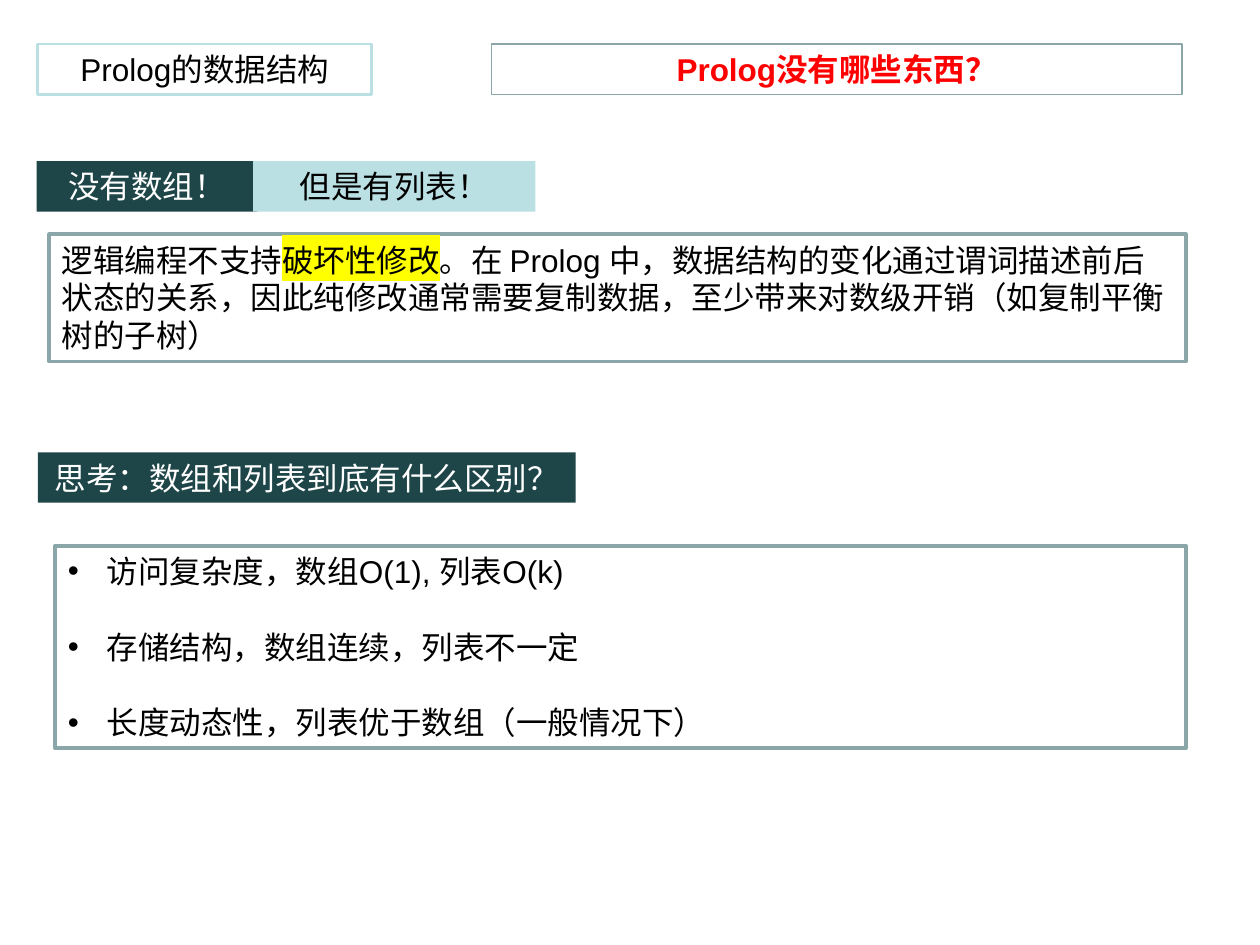
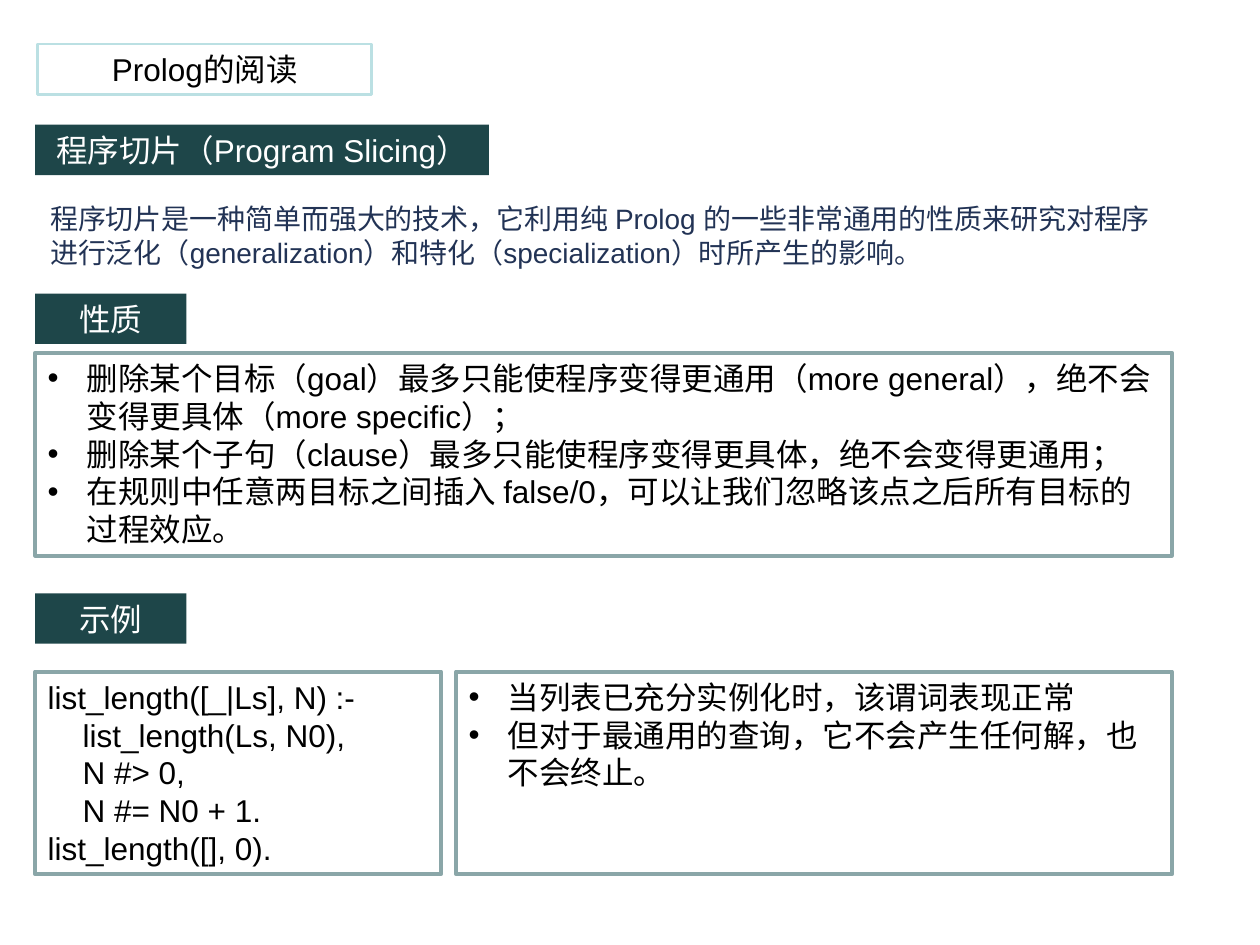
"""Build two slides on Prolog: its data structures and how to read its programs."""
import pptx
import pptx.dml.color
import pptx.enum.lang
import pptx.enum.shapes
import pptx.enum.text
import pptx.oxml.ns
import pptx.util
from lxml import etree

COLORS = {
    "dark": "1E4649", "pale": "BBE0E3", "edge": "8AA6A8", "marker": "FFFF00",
    "black": "000000", "white": "FFFFFF", "red": "FF0000", "navy": "223355",
}
STYLES = {
    "title": {"line": "pale", "weight": 1.5, "align": "CENTER"},
    "question": {"line": "edge", "weight": 1, "align": "CENTER", "color": "red", "bold": True},
    "band": {"fill": "dark", "align": "CENTER", "color": "white"},
    "pale band": {"fill": "pale", "align": "CENTER"},
    "frame": {"line": "edge", "weight": 2.25},
    "bullets": {"line": "edge", "weight": 2.25, "bullet": True},
    "spaced bullets": {"line": "edge", "weight": 2.25, "bullet": True, "gap": 21.7},
    "note": {"color": "navy", "size": 16},
}
FONT = "Arial"
INDENT = pptx.util.Inches(0.31)

deck = pptx.Presentation()
deck.slide_width = pptx.util.Inches(10)
deck.slide_height = pptx.util.Inches(7.5)
COLUMN = deck.slide_width / 100
ROW = deck.slide_height / 75
BAND = 4
LEFT = 2.8
WIDE = 90.2
TALL = 16.1
TITLE_PLACE = (3, 3.5, 26.5, BAND)


def rgb(name):
    return pptx.dml.color.RGBColor.from_string(COLORS[name])


def fill_box(box, style, place, paragraphs):
    """Place and style a box, then write its paragraphs, each a list of runs."""
    left, top, width, height = place
    box.left, box.width = round(left * COLUMN), round(width * COLUMN)
    box.top, box.height = round(top * ROW), round(height * ROW)
    if "fill" in style:
        box.fill.solid()
        box.fill.fore_color.rgb = rgb(style["fill"])
    else:
        box.fill.background()
    if "line" in style:
        box.line.color.rgb = rgb(style["line"])
        box.line.width = pptx.util.Pt(style["weight"])
    else:
        box.line.fill.background()
    frame = box.text_frame
    frame.word_wrap = True
    frame.auto_size = pptx.enum.text.MSO_AUTO_SIZE.NONE
    frame.vertical_anchor = pptx.enum.text.MSO_ANCHOR.TOP
    for index, runs in enumerate(paragraphs):
        para = frame.paragraphs[0] if index == 0 else frame.add_paragraph()
        para.alignment = pptx.enum.text.PP_ALIGN[style.get("align", "LEFT")]
        if index and "gap" in style:
            para.space_before = pptx.util.Pt(style["gap"])
        if style.get("bullet"):
            settings = para._p.get_or_add_pPr()
            settings.set("marL", str(INDENT))
            settings.set("indent", str(-INDENT))
            etree.SubElement(settings, pptx.oxml.ns.qn("a:buFont"), typeface=FONT)
            etree.SubElement(settings, pptx.oxml.ns.qn("a:buChar"), char="•")
        for text, *marker in runs:
            span = para.add_run()
            span.text = text
            span.font.name = FONT
            span.font.size = pptx.util.Pt(style.get("size", 18))
            span.font.bold = style.get("bold", False)
            span.font.color.rgb = rgb(style.get("color", "black"))
            span.font.language_id = pptx.enum.lang.MSO_LANGUAGE_ID.SIMPLIFIED_CHINESE
            if marker:
                highlight = etree.Element(pptx.oxml.ns.qn("a:highlight"))
                etree.SubElement(highlight, pptx.oxml.ns.qn("a:srgbClr"), val=COLORS[marker[0]])
                span._r.rPr.find(pptx.oxml.ns.qn("a:solidFill")).addnext(highlight)


SLIDES = [
    ("Prolog的数据结构", [
        ("question", (39, 3.5, 54.8, BAND), [[("Prolog没有哪些东西？",)]]),
        ("band", (2.9, 12.8, 17.5, BAND), [[("没有数组！",)]]),
        ("pale band", (20.1, 12.8, 22.4, BAND), [[("但是有列表！",)]]),
        ("frame", (3.9, 18.6, WIDE, 10.1), [[
            ("逻辑编程不支持",),
            ("破坏性修改", "marker"),
            ("。在 Prolog 中，数据结构的变化通过谓词描述前后状态的关系，"
             "因此纯修改通常需要复制数据，至少带来对数级开销（如复制平衡树的子树）",),
        ]]),
        ("band", (3, 35.9, 42.7, BAND), [[("思考：数组和列表到底有什么区别？",)]]),
        ("spaced bullets", (4.4, 43.3, 89.7, TALL), [
            [("访问复杂度，数组O(1), 列表O(k)",)],
            [("存储结构，数组连续，列表不一定",)],
            [("长度动态性，列表优于数组（一般情况下）",)],
        ]),
    ]),
    ("Prolog的阅读", [
        ("bullets", (LEFT, 28, WIDE, TALL), [
            [("删除某个目标（goal）最多只能使程序变得更通用（more general），"
              "绝不会变得更具体（more specific）；",)],
            [("删除某个子句（clause）最多只能使程序变得更具体，绝不会变得更通用；",)],
            [("在规则中任意两目标之间插入 false/0，可以让我们忽略该点之后所有目标的过程效应。",)],
        ]),
        ("band", (LEFT, 9.9, 36, BAND), [[("程序切片（Program Slicing）",)]]),
        ("note", (3, 15.5, WIDE, 6.4), [[
            ("程序切片是一种简单而强大的技术，它利用纯 Prolog 的一些非常通用的性质来研究"
             "对程序进行泛化（generalization）和特化（specialization）时所产生的影响。",),
        ]]),
        ("band", (LEFT, 23.3, 12, BAND), [[("性质",)]]),
        ("band", (LEFT, 47.1, 12, BAND), [[("示例",)]]),
        ("frame", (LEFT, 53.3, 32.2, TALL), [
            [("list_length([_|Ls], N) :-",)],
            [("    list_length(Ls, N0),",)],
            [("    N #> 0,",)],
            [("    N #= N0 + 1.",)],
            [("list_length([], 0).",)],
        ]),
        ("bullets", (36.2, 53.3, 56.8, TALL), [
            [("当列表已充分实例化时，该谓词表现正常",)],
            [("但对于最通用的查询，它不会产生任何解，也不会终止。",)],
        ]),
    ]),
]

for title, boxes in SLIDES:
    slide = deck.slides.add_slide(deck.slide_layouts[5])
    fill_box(slide.shapes.title, STYLES["title"], TITLE_PLACE, [[(title,)]])
    for style_name, place, paragraphs in boxes:
        if style_name == "note":
            box = slide.shapes.add_textbox(0, 0, 0, 0)
        else:
            box = slide.shapes.add_shape(pptx.enum.shapes.MSO_SHAPE.RECTANGLE, 0, 0, 0, 0)
            box.shadow.inherit = False
        fill_box(box, STYLES[style_name], place, paragraphs)

deck.save("out.pptx")
